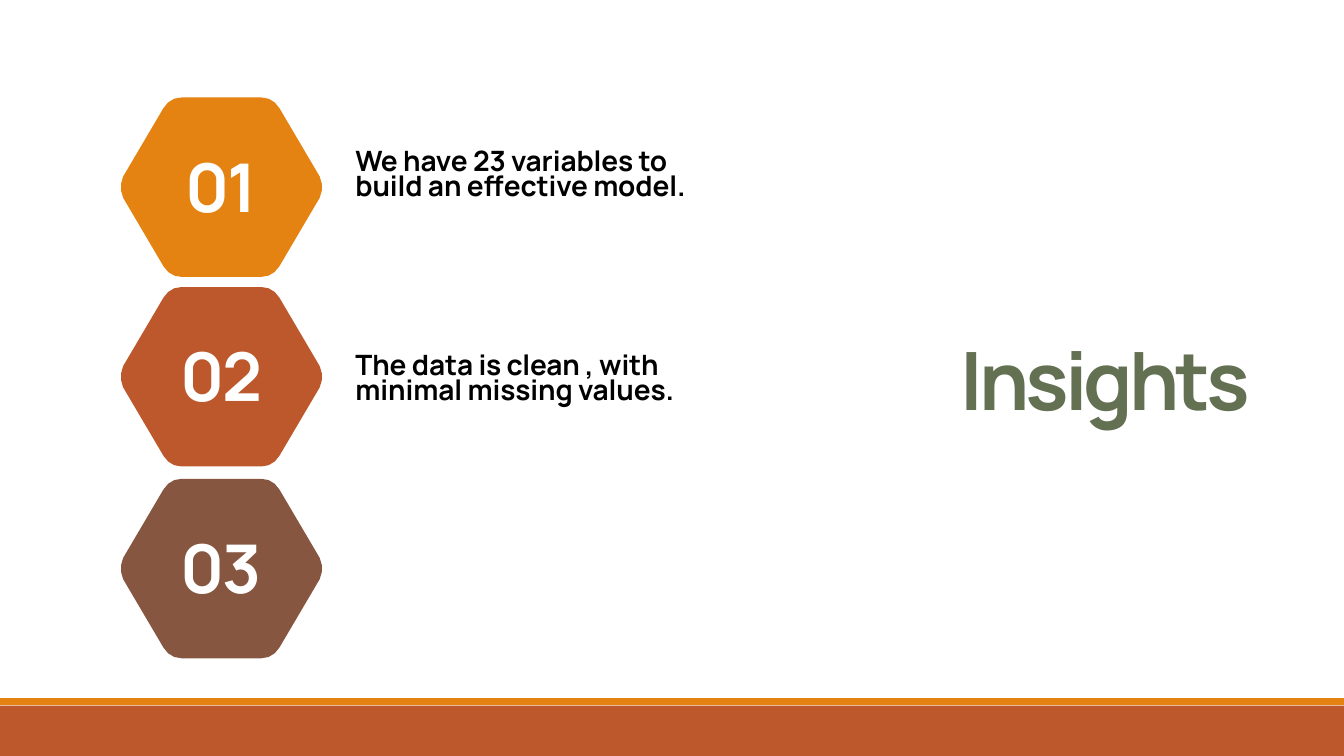
from pptx import Presentation
from pptx import util as u
from pptx.dml.color import RGBColor
from pptx.enum import shapes, text

HUES = {"amber": "E48312", "rust": "BD582C", "brown": "865640",
        "green": "637052", "white": "FFFFFF", "black": "000000"}
STEPS = [("01", "amber", 69.6), ("02", "rust", 205), ("03", "brown", 342)]
NOTES = [("We have 23 variables to build an effective model.", 105.1),
         ("The data is clean , with minimal missing values.", 250.6)]
SIDE = [(70.2, -7.6), (72.4, -2.9), (72.4, 2.9), (70.2, 7.6)]
FOOT = [(41.4, 56.5), (38.5, 61.2), (34.2, 64.1), (28.4, 64.1)]


def paint(shape, hue):
    """Give a shape a flat fill with no line or shadow."""
    shape.shadow.inherit = False
    shape.fill.solid()
    shape.fill.fore_color.rgb = RGBColor.from_string(HUES[hue])
    shape.line.fill.background()


def curve(knots, count=3):
    """Return points along a cubic curve."""
    spots = []
    for step in range(count + 1):
        t = step / count
        mix = [(1 - t) ** 3, 3 * t * (1 - t) ** 2, 3 * t * t * (1 - t), t ** 3]
        spots.append(tuple(sum(m * k[axis] for m, k in zip(mix, knots))
                           for axis in (0, 1)))
    return spots


def hexagon(slide, mid, top, hue):
    """Draw a hexagon with rounded corners."""
    left = [(-x, y) for x, y in reversed(FOOT)]
    half = curve(SIDE) + curve(FOOT) + curve(left)
    ring = half + [(-x, -y) for x, y in half]
    spots = [(u.Pt(mid + x), u.Pt(top + 64.1 + y)) for x, y in ring]
    pen = slide.shapes.build_freeform(*spots[0])
    pen.add_line_segments(spots[1:], close=True)
    paint(pen.convert_to_shape(), hue)


def bar(slide, top, height, hue):
    """Draw a band across the foot of the slide."""
    area = [u.Pt(v) for v in (0, top, 960, height)]
    paint(slide.shapes.add_shape(shapes.MSO_SHAPE.RECTANGLE, *area), hue)


def write(shape, words, hue, size, track, frame, para):
    """Fill a shape with one styled paragraph."""
    body = shape.text_frame
    body.text = words
    line = body.paragraphs[0]
    run = line.runs[0]
    fit = {"word_wrap": True,
           "auto_size": text.MSO_AUTO_SIZE.SHAPE_TO_FIT_TEXT, **frame}
    font = {"name": "Manrope", "size": u.Pt(size), "bold": True}
    for item, form in ((body, fit), (line, para), (run.font, font)):
        for key, value in form.items():
            setattr(item, key, value)
    run.font.color.rgb = RGBColor.from_string(HUES[hue])
    run._r.get_or_add_rPr().set("spc", str(round(track * 100)))


def label(slide, area, *style):
    """Add a text box and write in it."""
    write(slide.shapes.add_textbox(*[u.Pt(v) for v in area]), *style)


def title(slide, words):
    """Place and style the slide title."""
    head = slide.shapes.title
    place = {"left": 588.2, "top": 231.8, "width": 311.8, "height": 77}
    for key, value in place.items():
        setattr(head, key, u.Pt(value))
    write(head, words, "green", 57.5, -2.9,
          {"vertical_anchor": text.MSO_ANCHOR.MIDDLE},
          {"alignment": text.PP_ALIGN.RIGHT})


def main():
    """Build the slide and save it."""
    deck = Presentation()
    deck.slide_width, deck.slide_height = u.Pt(960), u.Pt(540)
    slide = deck.slides.add_slide(deck.slide_layouts[5])
    bar(slide, 504, 36, "rust")
    bar(slide, 498.7, 5, "amber")
    title(slide, "Insights")
    for mark, hue, top in STEPS:
        hexagon(slide, 158.2, top, hue)
        label(slide, (119.5, top + 29.6, 77, 65.5), mark, "white", 48, -1.4,
              {"vertical_anchor": text.MSO_ANCHOR.BOTTOM},
              {"alignment": text.PP_ALIGN.CENTER})
    for words, top in NOTES:
        label(slide, (246.8, top, 251.5, 62.6), words, "black", 20, -0.1,
              {}, {"line_spacing": u.Pt(18)})
    deck.save("out.pptx")


if __name__ == "__main__":
    main()
